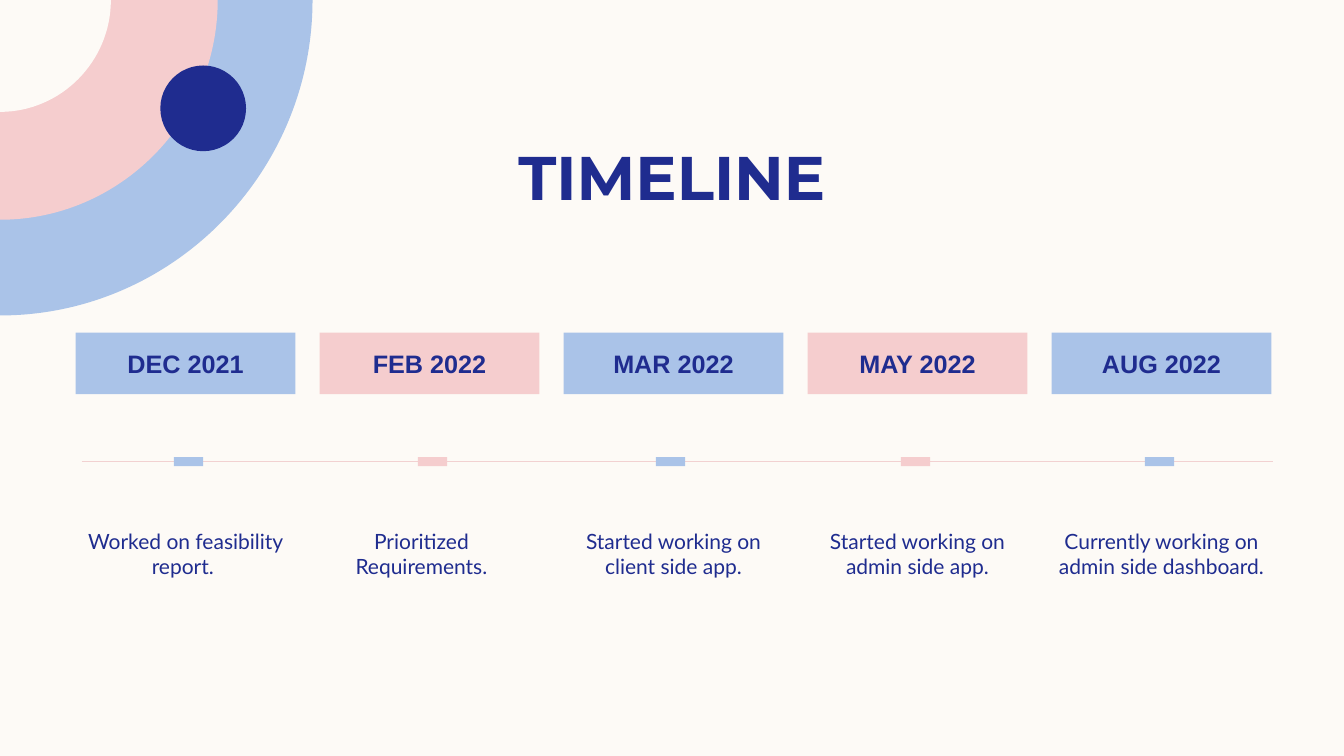
from pptx import Presentation
from pptx.dml.color import RGBColor
from pptx.enum import shapes as kinds, text as styles
from pptx.oxml.ns import qn
from pptx.util import Inches, Pt

BLUE = RGBColor(0xAA, 0xC3, 0xE8)
PINK = RGBColor(0xF5, 0xCD, 0xCE)
NAVY = RGBColor(0x1F, 0x2C, 0x8F)
CREAM = RGBColor(0xFD, 0xFA, 0xF6)
ROSE = RGBColor(0xF2, 0xD1, 0xD1)

STEPS = [
    ("DEC 2021", "Worked on feasibility report. ", 1.87, 2.18),
    ("FEB 2022", "Prioritized Requirements.", 4.29, 2.02),
    ("MAR 2022", "Started working on client side app.", 6.65, 2.18),
    ("MAY 2022", "Started working on admin side app.", 9.08, 2.18),
    ("AUG 2022", "Currently working on admin side dashboard.", 11.5, 2.18),
]
RINGS = [(3.1, 3.13, BLUE), (2.16, 2.18, PINK), (1.1, 1.11, CREAM)]
LEFT, PITCH, WIDE = 0.75, 2.42, 2.18
TICK = (0.29, 0.09)
AXIS = 4.58
BEND = 0.55

deck = Presentation()
deck.slide_width, deck.slide_height = Inches(13.33), Inches(7.5)
slide = deck.slides.add_slide(deck.slide_layouts[5])
slide.background.fill.solid()
slide.background.fill.fore_color.rgb = CREAM
parts = slide.shapes


def paint(shape, color):
    shape.shadow.inherit = False
    shape.fill.solid()
    shape.fill.fore_color.rgb = color
    shape.line.fill.background()
    return shape


def block(kind, x, y, w, h, color):
    shape = parts.add_shape(kind, Inches(x), Inches(y), Inches(w), Inches(h))
    return paint(shape, color)


def sector(wide, high, color):
    wide, high = Inches(wide), Inches(high)
    form = parts.build_freeform(0, 0)
    form.add_line_segments([(wide, 0), (0, high)], close=True)
    shape = paint(form.convert_to_shape(), color)
    edge = list(shape._element.iter(qn("a:lnTo")))[1]
    curve = edge.makeelement(qn("a:cubicBezTo"), {})
    for x, y in [(wide, high * BEND), (wide * BEND, high), (0, high)]:
        spot = {"x": str(int(x)), "y": str(int(y))}
        curve.append(curve.makeelement(qn("a:pt"), spot))
    edge.getparent().replace(edge, curve)


def write(shape, words, size, font, bold=False, pad=0.0,
          anchor=styles.MSO_ANCHOR.MIDDLE):
    frame = shape.text_frame
    frame.word_wrap = True
    frame.auto_size = styles.MSO_AUTO_SIZE.NONE
    frame.vertical_anchor = anchor
    frame.margin_left = frame.margin_right = 0
    frame.margin_top = frame.margin_bottom = Inches(pad)
    para = frame.paragraphs[0]
    para.alignment = styles.PP_ALIGN.CENTER
    run = para.add_run()
    run.text = words
    run.font.size, run.font.name, run.font.bold = Pt(size), font, bold
    run.font.color.rgb = NAVY


for wide, high, color in RINGS:
    sector(wide, high, color)
block(kinds.MSO_SHAPE.OVAL, 1.59, 0.65, 0.85, 0.85, NAVY)

axis = parts.add_connector(kinds.MSO_CONNECTOR.STRAIGHT, Inches(0.81),
                           Inches(AXIS), Inches(12.63), Inches(AXIS))
axis.line.color.rgb = ROSE
axis.line.width = Pt(1)
props = axis._element.spPr
props.append(props.makeelement(qn("a:effectLst"), {}))

title = parts.title
title.left, title.top = Inches(0.83), Inches(1.32)
title.width, title.height = Inches(11.67), Inches(0.84)
write(title, "TIMELINE", 44, "Montserrat", bold=True)

for i, (date, note, mid, room) in enumerate(STEPS):
    x = LEFT + i * PITCH
    color = (BLUE, PINK)[i % 2]
    label = block(kinds.MSO_SHAPE.RECTANGLE, x, 3.3, WIDE, 0.61, color)
    write(label, date, 18, "Arial", bold=True)
    wide, high = TICK
    block(kinds.MSO_SHAPE.RECTANGLE, mid - wide / 2, AXIS - high / 2,
          wide, high, color)
    box = parts.add_textbox(Inches(x), Inches(5.19), Inches(room), Inches(0.87))
    write(box, note, 15, "Lato", pad=0.05, anchor=styles.MSO_ANCHOR.TOP)

deck.save("out.pptx")
